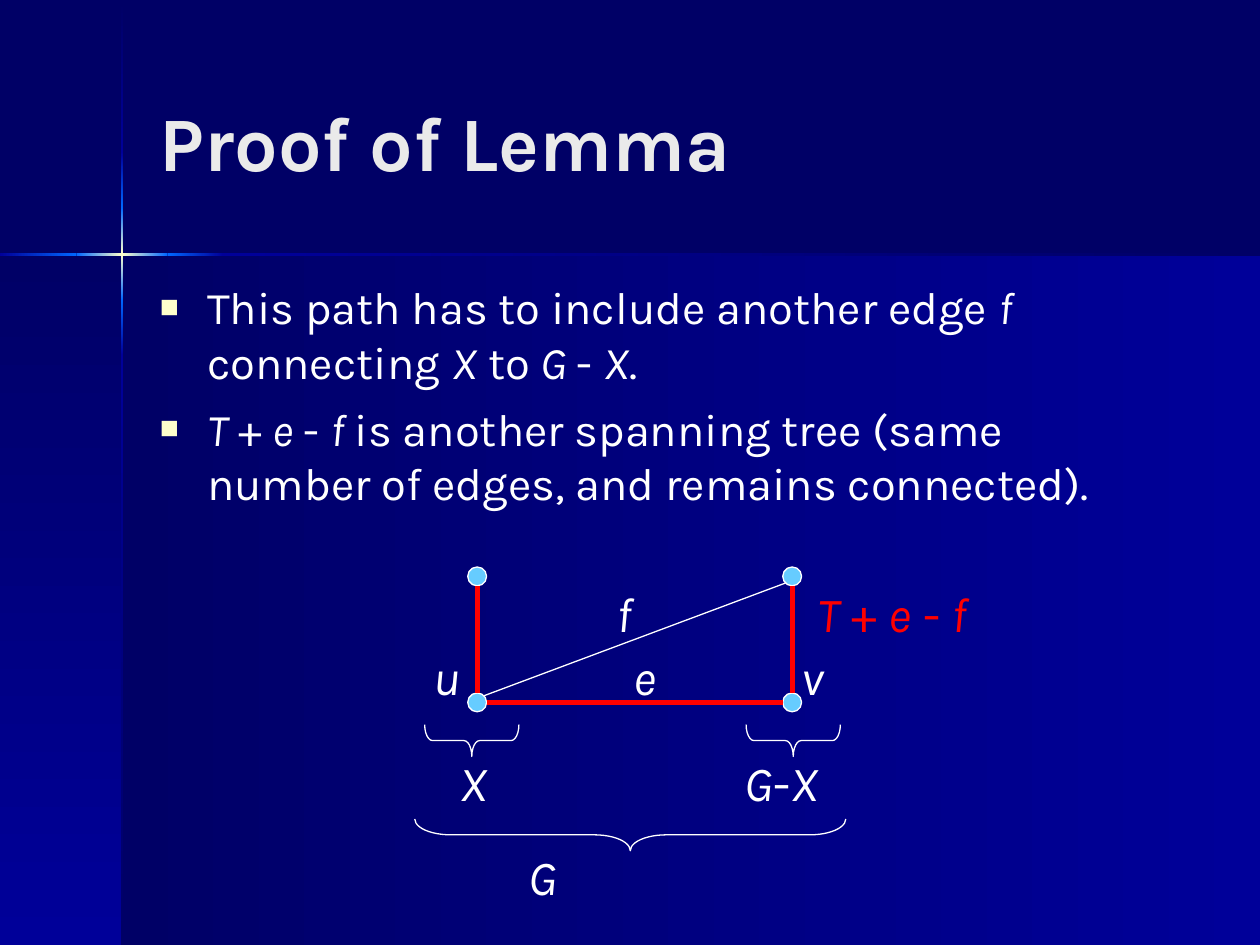
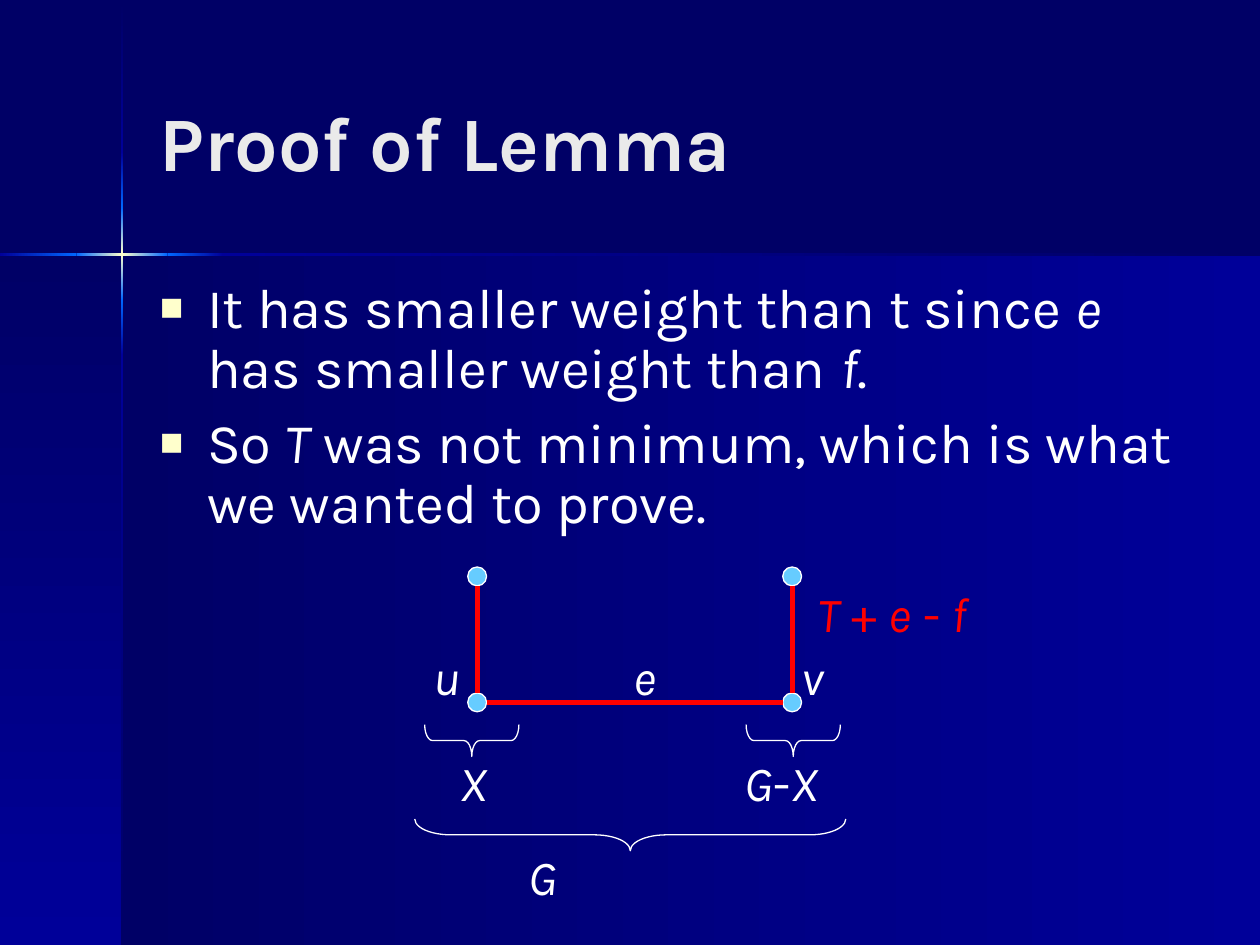
import dataclasses
import itertools

import lxml.etree
import pptx
import pptx.dml.color
import pptx.enum.shapes
import pptx.enum.text
import pptx.oxml.ns
import pptx.util

Cm = pptx.util.Cm
Pt = pptx.util.Pt
qn = pptx.oxml.ns.qn
SHAPE = pptx.enum.shapes.MSO_SHAPE
ALIGN = pptx.enum.text.PP_ALIGN
ANCHOR = pptx.enum.text.MSO_ANCHOR
AUTO_SIZE = pptx.enum.text.MSO_AUTO_SIZE


@dataclasses.dataclass(frozen=True)
class Theme:
    """Colours, font and type sizes of the deck."""
    font: str = "Karla"
    night: str = "000066"
    navy: str = "000099"
    ray: str = "0066FF"
    cream: str = "FFFFCC"
    title: str = "EAEAEA"
    white: str = "FFFFFF"
    tree: str = "FF0000"
    node: str = "66CCFF"
    title_size: float = 44
    label_size: float = 28
    thin: float = 0.74
    thick: float = 3


@dataclasses.dataclass(frozen=True)
class Box:
    """A region of the slide, in centimetres."""
    left: float
    top: float
    width: float
    height: float


THEME = Theme()
PAGE = Box(0, 0, 25.4, 19.05)
TITLE = Box(2.97, 0.84, 20.96, 3.99)
BODY = Box(2.97, 5.51, 20.96, 5.72)
DIAGRAM = Box(8.36, 11.43, 11.48, 6.96)
CROSS_X, CROSS_Y, RAY_WIDTH = 2.46, 5.13, 0.05
DOWN, RIGHTWARD = 270, 0


def rgb(colour):
    """Turn a hex string into a colour."""
    return pptx.dml.color.RGBColor.from_string(colour)


def place(shape, box):
    """Move and size a shape to a box."""
    shape.left, shape.top = Cm(box.left), Cm(box.top)
    shape.width, shape.height = Cm(box.width), Cm(box.height)


def add_preset(slide, preset, box):
    """Add a preset shape without a shadow."""
    shape = slide.shapes.add_shape(
        preset, Cm(box.left), Cm(box.top), Cm(box.width), Cm(box.height))
    shape.shadow.inherit = False
    return shape


def add_fade(slide, box, colours, angle):
    """Add a borderless rectangle fading evenly through the colours."""
    band = add_preset(slide, SHAPE.RECTANGLE, box)
    band.line.fill.background()
    band.fill.gradient()
    band.fill.gradient_angle = angle
    stops = band.element.spPr.find(qn("a:gradFill")).find(qn("a:gsLst"))
    for stop in list(stops):
        stops.remove(stop)
    for number, colour in enumerate(colours):
        position = round(100000 * number / (len(colours) - 1))
        stop = lxml.etree.SubElement(stops, qn("a:gs"), pos=str(position))
        lxml.etree.SubElement(stop, qn("a:srgbClr"), val=colour)
    return band


def draw_backdrop(slide, page):
    """Draw the two panels and the crossing rays; return them in order."""
    t = THEME
    lower = page.height - CROSS_Y
    bands = [
        add_fade(slide, Box(CROSS_X, CROSS_Y, page.width - CROSS_X, lower),
                 [t.night, t.navy], RIGHTWARD),
        add_fade(slide, Box(0, CROSS_Y, CROSS_X, lower),
                 [t.night, t.navy], DOWN)]
    fades = [[t.night, t.navy], [t.navy, t.ray], [t.ray, t.cream, t.ray],
             [t.ray, t.navy], [t.navy, t.night]]
    across = [0, 1.54, 3.38, 4.5, page.width]
    down = [0.03, 3.07, 4.19, 6.05, 7.16, page.height]
    edge = RAY_WIDTH / 2
    for (start, end), fade in zip(itertools.pairwise(down), fades):
        bands.append(add_fade(
            slide, Box(CROSS_X - edge, start, RAY_WIDTH, end - start),
            fade, DOWN))
    for (start, end), fade in zip(itertools.pairwise(across), fades[1:]):
        bands.append(add_fade(
            slide, Box(start, CROSS_Y - edge, end - start, RAY_WIDTH),
            fade, RIGHTWARD))
    return bands


def set_up_template(deck, slide):
    """Put the backdrop on the master and the placeholders on the layout."""
    master = deck.slide_master
    master.background.fill.solid()
    master.background.fill.fore_color.rgb = rgb(THEME.night)
    for order, band in enumerate(draw_backdrop(slide, PAGE), start=2):
        master.shapes.element.insert(order, band.element)
    title, body = list(slide.slide_layout.placeholders)[:2]
    place(title, TITLE)
    place(body, BODY)


def write_runs(paragraph, marked, size, colour):
    """Write text in which *asterisks* enclose the italic parts."""
    for number, part in enumerate(marked.split("*")):
        if part:
            run = paragraph.add_run()
            run.text = part
            run.font.name = THEME.font
            run.font.size = Pt(size)
            run.font.color.rgb = rgb(colour)
            run.font.italic = number % 2 == 1


def add_bullet(paragraph):
    """Give a paragraph a hanging square bullet."""
    properties = paragraph._p.get_or_add_pPr()
    properties.set("marL", str(Cm(0.95)))
    properties.set("indent", str(-Cm(0.95)))
    colour = lxml.etree.SubElement(properties, qn("a:buClr"))
    lxml.etree.SubElement(colour, qn("a:srgbClr"), val=THEME.cream)
    lxml.etree.SubElement(properties, qn("a:buSzPct"), val="70000")
    lxml.etree.SubElement(properties, qn("a:buChar"), char="\u25a0")


def write_title(slide, heading):
    """Fill the title placeholder."""
    frame = slide.shapes.title.text_frame
    frame.text = heading
    frame.vertical_anchor = ANCHOR.MIDDLE
    frame.auto_size = AUTO_SIZE.NONE
    paragraph = frame.paragraphs[0]
    paragraph.alignment = ALIGN.LEFT
    font = paragraph.runs[0].font
    font.name, font.size, font.bold = THEME.font, Pt(THEME.title_size), True
    font.color.rgb = rgb(THEME.title)


def write_steps(slide, steps, size, spacing, gap):
    """Fill the body placeholder with bulleted proof steps."""
    frame = slide.placeholders[1].text_frame
    frame.auto_size = AUTO_SIZE.NONE
    for number, step in enumerate(steps):
        paragraph = frame.add_paragraph() if number else frame.paragraphs[0]
        paragraph.line_spacing = spacing
        paragraph.space_before = Pt(gap)
        add_bullet(paragraph)
        write_runs(paragraph, step, size, THEME.white)


def add_edge(slide, start, end, colour, weight):
    """Draw a graph edge between two points."""
    edge = slide.shapes.add_connector(
        pptx.enum.shapes.MSO_CONNECTOR.STRAIGHT,
        *(Cm(value) for value in (*start, *end)))
    edge.line.color.rgb = rgb(colour)
    edge.line.width = Pt(weight)
    lxml.etree.SubElement(edge.element.spPr, qn("a:effectLst"))


def add_brace(slide, left, top, length):
    """Draw a brace that opens upwards, by turning a right brace."""
    depth = 0.64
    middle_x, middle_y = left + length / 2, top + depth / 2
    brace = add_preset(slide, SHAPE.RIGHT_BRACE, Box(
        middle_x - depth / 2, middle_y - length / 2, depth, length))
    brace.rotation = 90
    brace.adjustments[0] = length / 12 / depth
    brace.fill.background()
    brace.line.color.rgb = rgb(THEME.white)
    brace.line.width = Pt(THEME.thin)


def add_label(slide, marked, middle, top, width, colour):
    """Write a graph label centred on a point."""
    label = slide.shapes.add_textbox(
        Cm(middle - width / 2), Cm(top), Cm(width), Cm(1.45))
    label.text_frame.word_wrap = False
    label.text_frame.auto_size = AUTO_SIZE.SHAPE_TO_FIT_TEXT
    paragraph = label.text_frame.paragraphs[0]
    paragraph.alignment = ALIGN.CENTER
    write_runs(paragraph, marked, THEME.label_size, colour)


def draw_graph(slide, box, with_f):
    """Draw the spanning tree T + e - f, with edge f itself if asked."""
    t = THEME
    radius = 0.19
    left, right = box.left + 1.26, box.left + 7.61
    upper, lower = box.top + radius, box.top + radius + 2.54

    for y, x in itertools.product((upper, lower), (left, right)):
        node = add_preset(slide, SHAPE.OVAL, Box(
            x - radius, y - radius, 2 * radius, 2 * radius))
        node.fill.solid()
        node.fill.fore_color.rgb = rgb(t.node)
        node.line.color.rgb = rgb(t.white)
        node.line.width = Pt(t.thin)

    add_edge(slide, (left + radius, lower), (right - radius, lower),
             t.tree, t.thick)
    for x in (left, right):
        add_edge(slide, (x, upper + radius), (x, lower - radius),
                 t.tree, t.thick)

    for offset, drop, length in [
            (0.2, 3.18, 1.9), (6.68, 3.18, 1.9), (0, 5.08, 8.69)]:
        add_brace(slide, box.left + offset, box.top + drop, length)

    labels = [
        ("*G*", 2.59, 5.51, 1.17, t.white),
        ("*X*", 1.17, 3.61, 1.02, t.white),
        ("*G*-*X*", 7.4, 3.61, 2.01, t.white),
        ("*e*", 4.64, 1.47, 0.99, t.white),
        ("*v*", 8.03, 1.47, 0.97, t.white),
        ("*u*", 0.64, 1.47, 1.07, t.white),
        ("*T* + *e* - *f*", 9.63, 0.2, 3.71, t.tree)]
    if with_f:
        reach = 0.7 * radius
        add_edge(slide, (right - reach, upper + reach),
                 (left + reach, lower - reach), t.white, t.thin)
        labels.append(("*f*", 4.22, 0.2, 0.81, t.white))
    for marked, middle, drop, width, colour in labels:
        add_label(slide, marked, box.left + middle, box.top + drop,
                  width, colour)


def fill_proof_slide(slide, steps, size, spacing, gap, with_f):
    """Fill one slide of the proof: title, steps and graph."""
    write_title(slide, "Proof of Lemma")
    write_steps(slide, steps, size, spacing, gap)
    draw_graph(slide, DIAGRAM, with_f)


def main():
    """Build the two proof slides."""
    deck = pptx.Presentation()
    deck.slide_width, deck.slide_height = Cm(PAGE.width), Cm(PAGE.height)
    layout = deck.slide_layouts[1]
    exchange, conclusion = (deck.slides.add_slide(layout) for _ in range(2))
    set_up_template(deck, exchange)
    fill_proof_slide(exchange, [
        "This path has to include another edge *f* connecting *X* to "
        "*G *- *X*.",
        "*T* + *e *- *f* is another spanning tree (same number of edges, "
        "and remains connected)."],
        size=25.9, spacing=1.0, gap=7, with_f=True)
    fill_proof_slide(conclusion, [
        "It has smaller weight than t since *e* has smaller weight than "
        "*f*.",
        "So *T* was not minimum, which is what we wanted to prove."],
        size=32, spacing=0.9, gap=8, with_f=False)
    deck.save("out.pptx")


main()
